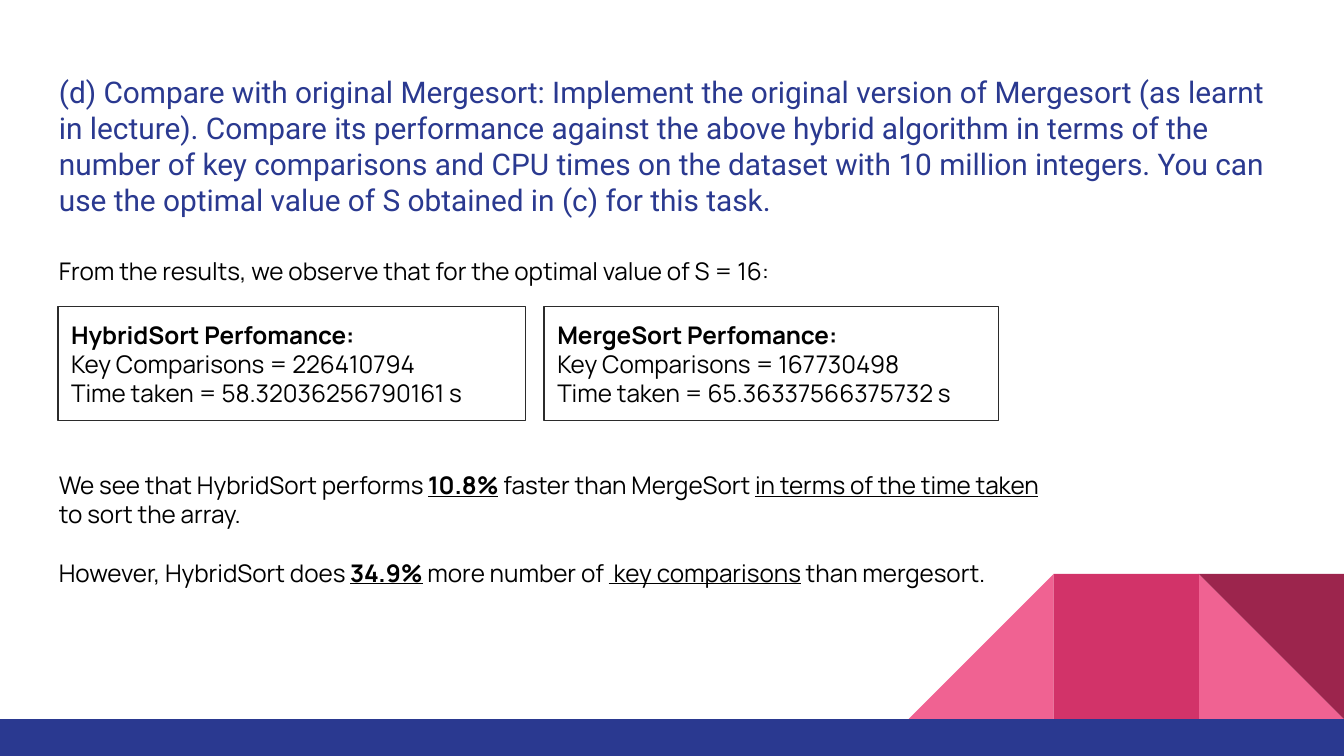
from dataclasses import dataclass

from pptx import Presentation
from pptx import util as u
from pptx.dml.color import RGBColor
from pptx.enum import shapes, text


@dataclass(frozen=True)
class Theme:
    navy: str = "2A3990"
    pink: str = "F06292"
    rose: str = "D23369"
    wine: str = "9C254D"
    ink: str = "000000"
    border: str = "2B2B2B"
    title_font: str = "Roboto"
    body_font: str = "Manrope"
    title_size: float = 16
    body_size: float = 13
    border_width: float = 0.75
    inset: float = 7.2


class SlideBuilder:
    def __init__(self, slide, theme):
        self.slide = slide
        self.theme = theme

    def block(self, kind, box, fill, flip=False, rotation=0):
        """Add a borderless filled shape."""
        shape = self.slide.shapes.add_shape(kind, *map(u.Pt, box))
        shape.shadow.inherit = False
        shape.fill.solid()
        shape.fill.fore_color.rgb = RGBColor.from_string(fill)
        shape.line.fill.background()
        shape.rotation = rotation
        if flip:
            shape._element.spPr.xfrm.set("flipH", "1")

    def fill_text(self, shape, paragraphs, font, size, color, gap=0):
        """Fill a shape with paragraphs, each a list of (words, style) runs.

        In a style, "b" means bold and "u" underlined.
        """
        frame = shape.text_frame
        frame.word_wrap = True
        inset = u.Pt(self.theme.inset)
        frame.margin_left = frame.margin_right = inset
        frame.margin_top = frame.margin_bottom = inset
        for index, runs in enumerate(paragraphs):
            paragraph = frame.add_paragraph() if index else frame.paragraphs[0]
            paragraph.alignment = text.PP_ALIGN.LEFT
            paragraph.space_before = u.Pt(gap if index else 0)
            for words, style in runs:
                run = paragraph.add_run()
                run.text = words
                run.font.name = font
                run.font.size = u.Pt(size)
                run.font.color.rgb = RGBColor.from_string(color)
                run.font.bold = "b" in style
                run.font.underline = "u" in style

    def title(self, box, words):
        theme = self.theme
        shape = self.slide.shapes.add_textbox(*map(u.Pt, box))
        self.fill_text(shape, [[(words, "")]], theme.title_font, theme.title_size, theme.navy)

    def body(self, box, paragraphs, gap=0):
        theme = self.theme
        shape = self.slide.shapes.add_textbox(*map(u.Pt, box))
        self.fill_text(shape, paragraphs, theme.body_font, theme.body_size, theme.ink, gap)

    def result_box(self, box, heading, lines):
        theme = self.theme
        shape = self.slide.shapes.add_shape(shapes.MSO_SHAPE.RECTANGLE, *map(u.Pt, box))
        shape.shadow.inherit = False
        shape.fill.background()
        shape.line.color.rgb = RGBColor.from_string(theme.border)
        shape.line.width = u.Pt(theme.border_width)
        shape.text_frame.vertical_anchor = text.MSO_ANCHOR.MIDDLE
        paragraphs = [[(heading, "b")]] + [[(line, "")] for line in lines]
        self.fill_text(shape, paragraphs, theme.body_font, theme.body_size, theme.ink)


def main():
    width, height = 720, 405
    presentation = Presentation()
    presentation.slide_width, presentation.slide_height = u.Pt(width), u.Pt(height)
    slide = presentation.slides.add_slide(presentation.slide_layouts[6])
    theme = Theme()
    builder = SlideBuilder(slide, theme)

    # Corner decoration: three square tiles standing on the bottom bar
    tile, bar = 77.75, 19.8
    bar_top = height - bar
    triangle, rectangle = shapes.MSO_SHAPE.RIGHT_TRIANGLE, shapes.MSO_SHAPE.RECTANGLE
    left, middle, right = [
        (width - count * tile, bar_top - tile, tile, tile) for count in (3, 2, 1)
    ]
    builder.block(triangle, right, theme.pink)
    builder.block(triangle, left, theme.pink, flip=True)
    builder.block(rectangle, middle, theme.rose)
    builder.block(triangle, right, theme.wine, rotation=180)
    builder.block(rectangle, (0, bar_top, width, bar), theme.navy)

    # Task
    margin = 24.5
    builder.title(
        (margin, 32.4, width - 2 * margin, 47.5),
        "(d) Compare with original Mergesort: Implement the original version of "
        "Mergesort (as learnt in lecture). Compare its performance against the above "
        "hybrid algorithm in terms of the number of key comparisons and CPU times on "
        "the dataset with 10 million integers. You can use the optimal value of S "
        "obtained in (c) for this task.",
    )

    # Results
    builder.body(
        (margin, 130.3, 537, 140.4),
        [[("From the results, we observe that for the optimal value of S = 16:", "")]],
    )
    results = [
        (31, 250.5, "HybridSort", "226410794", "58.32036256790161"),
        (291.5, 243.3, "MergeSort", "167730498", "65.36337566375732"),
    ]
    for box_left, box_width, name, comparisons, seconds in results:
        builder.result_box(
            (box_left, 164.2, box_width, 61.2),
            f"{name} Perfomance:",
            [f"Key Comparisons = {comparisons}", f"Time taken = {seconds} s"],
        )

    # Conclusions
    builder.body(
        (margin, 244.8, 553.7, 93.6),
        [
            [
                ("We see that HybridSort performs ", ""),
                ("10.8%", "bu"),
                (" faster than MergeSort ", ""),
                ("in terms of the time taken", "u"),
                (" to sort the array.", ""),
            ],
            [
                ("However, HybridSort does ", ""),
                ("34.9%", "bu"),
                (" more number of ", ""),
                (" key comparisons", "u"),
                (" than mergesort.", ""),
            ],
        ],
        gap=15.6,
    )

    presentation.save("out.pptx")


if __name__ == "__main__":
    main()
